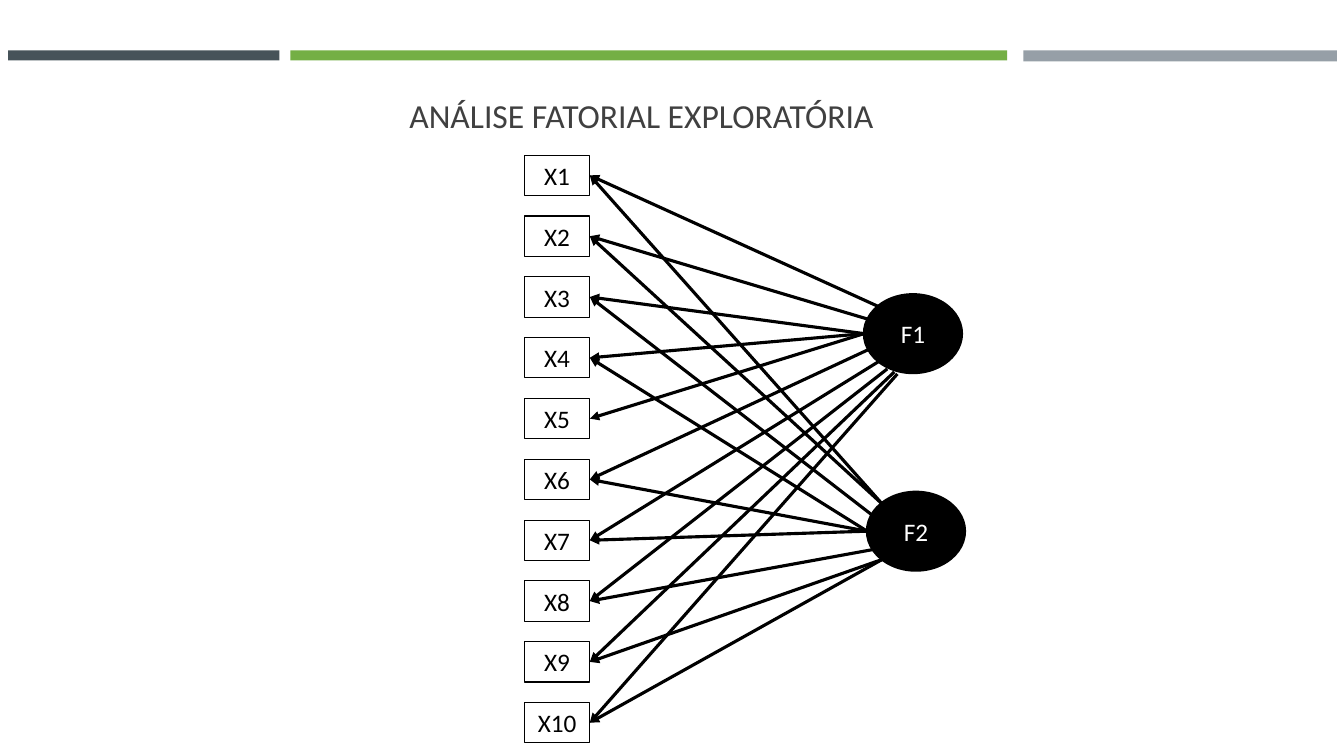
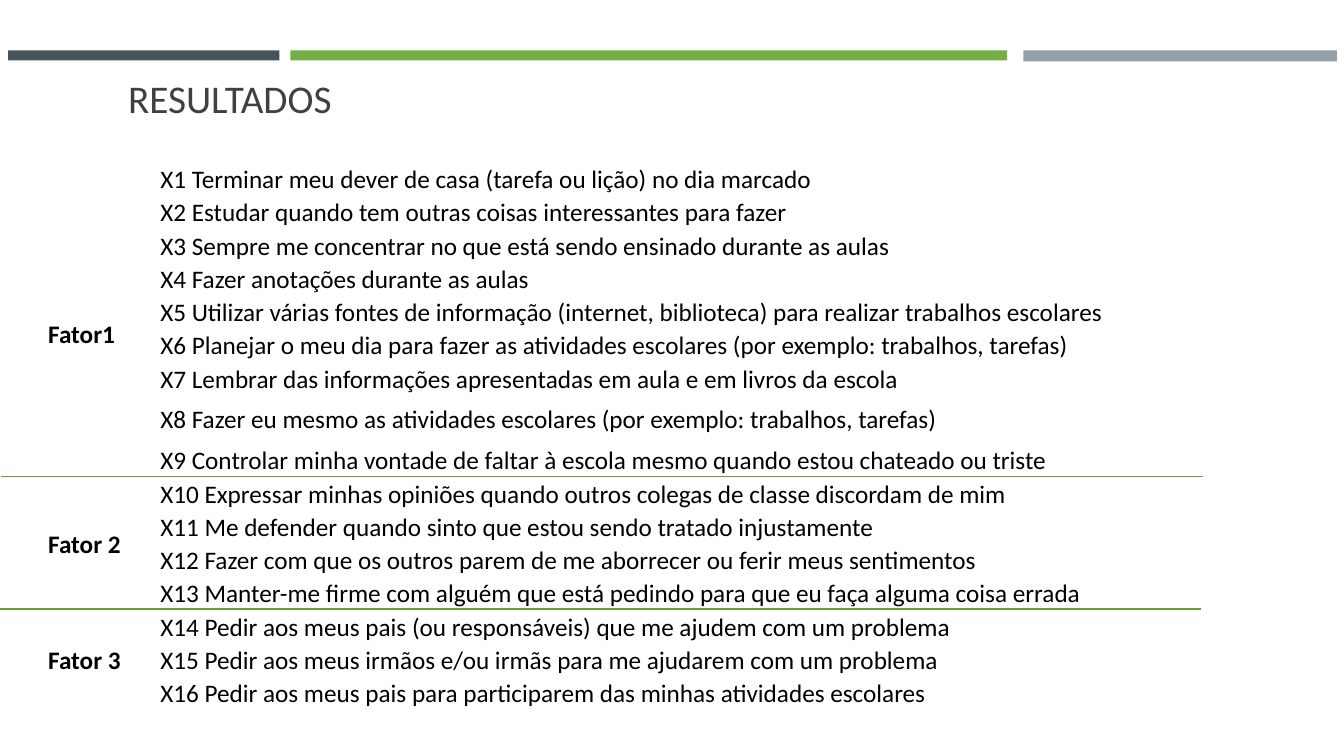
"""Builds two slides on exploratory factor analysis: the path diagram and the resulting factors."""
from lxml.etree import SubElement
from pptx import Presentation
from pptx.dml.color import RGBColor
from pptx.enum.shapes import MSO_CONNECTOR, MSO_SHAPE
from pptx.enum.text import MSO_ANCHOR, MSO_AUTO_SIZE, PP_ALIGN
from pptx.oxml.ns import qn
from pptx.util import Inches, Pt

COLORS = {
    "slate": "465359", "grey": "969FA7", "green": "74AF45", "rule": "689D3E",
    "title": "404040", "black": "000000", "white": "FFFFFF",
}
RGB = {name: RGBColor.from_string(value) for name, value in COLORS.items()}


def write(frame, text, color="black", size=18, bold=False, align=PP_ALIGN.LEFT, **frame_format):
    for attribute, value in frame_format.items():
        setattr(frame, attribute, value)
    paragraph = frame.paragraphs[0]
    paragraph.alignment = align
    run = paragraph.add_run()
    run.text = text
    run.font.color.rgb = RGB[color]
    for attribute, value in {"name": "Calibri", "size": Pt(size), "bold": bold}.items():
        setattr(run.font, attribute, value)
    return paragraph


def draw_line(slide, start, end, color, width):
    points = [Inches(value) for value in (*start, *end)]
    connector = slide.shapes.add_connector(MSO_CONNECTOR.STRAIGHT, *points)
    connector.line.color.rgb = RGB[color]
    connector.line.width = Pt(width)
    SubElement(connector.element.spPr, qn("a:effectLst"))
    return connector


deck = Presentation()
deck.slide_width, deck.slide_height = Inches(13.33), Inches(7.5)
title_only = deck.slide_layouts[5]

titles = [
    ("ANÁLISE FATORIAL EXPLORATÓRIA", 24, (3.96, 0.27, 6.11, 1.5), 0.43),
    ("RESULTADOS", 28, (1.17, 0.66, 11, 1.5), 0.96),
]
slides = []
for text, size, bounds, space_below in titles:
    slide = deck.slides.add_slide(title_only)
    heading = slide.shapes.title
    for side, value in zip(("left", "top", "width", "height"), bounds):
        setattr(heading, side, Inches(value))
    write(heading.text_frame, text, "title", size, word_wrap=True,
          auto_size=MSO_AUTO_SIZE.NONE, vertical_anchor=MSO_ANCHOR.BOTTOM,
          margin_bottom=Inches(space_below))
    slides.append(slide)
diagram, results = slides

bands = [("slate", 0.08, 2.69, 0.1), ("grey", 10.15, 3.11, 0.11), ("green", 2.88, 7.11, 0.1)]
for number, (color, left, width, height) in enumerate(bands, start=101):
    band = diagram.shapes.add_shape(
        MSO_SHAPE.RECTANGLE, Inches(left), Inches(0.5), Inches(width), Inches(height))
    band.shadow.inherit = False
    band.fill.solid()
    band.fill.fore_color.rgb = RGB[color]
    band.line.fill.background()
    band.element.nvSpPr.cNvPr.set("id", str(number))
    title_only.shapes.element.append(band.element)

variable_left, variable_width, variable_height = 5.2, 0.65, 0.4
first_top, last_top, variable_count = 1.54, 6.97, 10
pitch = (last_top - first_top) / (variable_count - 1)
variable_tops = [first_top + pitch * index for index in range(variable_count)]

nodes = [
    ("F1", MSO_SHAPE.OVAL, (8.57, 2.92, 0.97, 0.78), "black", "white", 1.75, MSO_ANCHOR.MIDDLE),
    ("F2", MSO_SHAPE.OVAL, (8.6, 4.88, 0.97, 0.78), "black", "white", 1.75, MSO_ANCHOR.MIDDLE),
]
nodes += [
    (f"X{number}", MSO_SHAPE.RECTANGLE, (variable_left, top, variable_width, variable_height),
     "white", "black", 0.75, MSO_ANCHOR.TOP)
    for number, top in enumerate(variable_tops, start=1)
]
drawn = {}
for label, outline, bounds, fill, ink, border, anchor in nodes:
    node = diagram.shapes.add_shape(outline, *[Inches(value) for value in bounds])
    node.shadow.inherit = False
    node.fill.solid()
    node.fill.fore_color.rgb = RGB[fill]
    node.line.color.rgb = RGB["black"]
    node.line.width = Pt(border)
    write(node.text_frame, label, ink, align=PP_ALIGN.CENTER,
          word_wrap=False, vertical_anchor=anchor)
    drawn[label] = node

loadings = [
    {1: (8.71, 3.04), 2: (8.62, 3.17), 3: (8.57, 3.31), 4: (8.57, 3.31), 5: (8.57, 3.31),
     6: (8.61, 3.47), 7: (8.71, 3.59), 8: (8.8, 3.66), 9: (8.87, 3.69), 10: (8.9, 3.71)},
    {1: (8.75, 5), 2: (8.75, 5), 3: (8.65, 5.11), 4: (8.6, 5.27), 6: (8.6, 5.27),
     7: (8.6, 5.27), 8: (8.67, 5.45), 9: (8.75, 5.55), 10: (8.75, 5.55)},
]
for factor_loadings in loadings:
    for number, factor_point in factor_loadings.items():
        variable_point = (variable_left + variable_width,
                          variable_tops[number - 1] + variable_height / 2)
        arrow = draw_line(diagram, variable_point, factor_point, "black", 2.25)
        arrow.begin_connect(drawn[f"X{number}"], 3)
        SubElement(arrow.element.spPr.find(qn("a:ln")), qn("a:headEnd"), type="triangle")

items = [
    "Terminar meu dever de casa (tarefa ou lição) no dia marcado",
    "Estudar quando tem outras coisas interessantes para fazer",
    "Sempre me concentrar no que está sendo ensinado durante as aulas",
    "Fazer anotações durante as aulas",
    "Utilizar várias fontes de informação (internet, biblioteca) para realizar trabalhos escolares",
    "Planejar o meu dia para fazer as atividades escolares (por exemplo: trabalhos, tarefas)",
    "Lembrar das informações apresentadas em aula e em livros da escola",
    "Fazer eu mesmo as atividades escolares (por exemplo: trabalhos, tarefas)",
    "Controlar minha vontade de faltar à escola mesmo quando estou chateado ou triste",
    "Expressar minhas opiniões quando outros colegas de classe discordam de mim",
    "Me defender quando sinto que estou sendo tratado injustamente",
    "Fazer com que os outros parem de me aborrecer ou ferir meus sentimentos",
    "Manter-me firme com alguém que está pedindo para que eu faça alguma coisa errada",
    "Pedir aos meus pais (ou responsáveis) que me ajudem com um problema",
    "Pedir aos meus irmãos e/ou irmãs para me ajudarem com um problema",
    "Pedir aos meus pais para participarem das minhas atividades escolares",
]
row_heights = [0.48 if number == 8 else 0.33 for number in range(1, len(items) + 1)]
questionnaire = results.shapes.add_table(
    len(items), 1, Inches(1.52), Inches(1.61), Inches(10.41), Inches(sum(row_heights))).table
questionnaire.first_row = False
questionnaire.horz_banding = False
cell_format = {
    "vertical_anchor": MSO_ANCHOR.MIDDLE, "margin_left": Inches(0.07),
    "margin_right": Inches(0.07), "margin_top": 0, "margin_bottom": 0,
}
for index, (item, height) in enumerate(zip(items, row_heights)):
    questionnaire.rows[index].height = Inches(height)
    cell = questionnaire.cell(index, 0)
    for attribute, value in cell_format.items():
        setattr(cell, attribute, value)
    cell.fill.solid()
    cell.fill.fore_color.rgb = RGB["white"]
    write(cell.text_frame, f"X{index + 1} {item}").line_spacing = 1.07

for factor, top in [("Fator1", 3.11), ("Fator 2", 5.19), ("Fator 3", 6.34)]:
    factor_label = results.shapes.add_textbox(Inches(0.38), Inches(top), Inches(1.14), Inches(0.4))
    write(factor_label.text_frame, factor, bold=True, word_wrap=True)

for left, top in [(0.01, 4.73), (-0.01, 6.04)]:
    draw_line(results, (left, top), (left + 11.92, top), "rule", 1)

deck.save("out.pptx")
